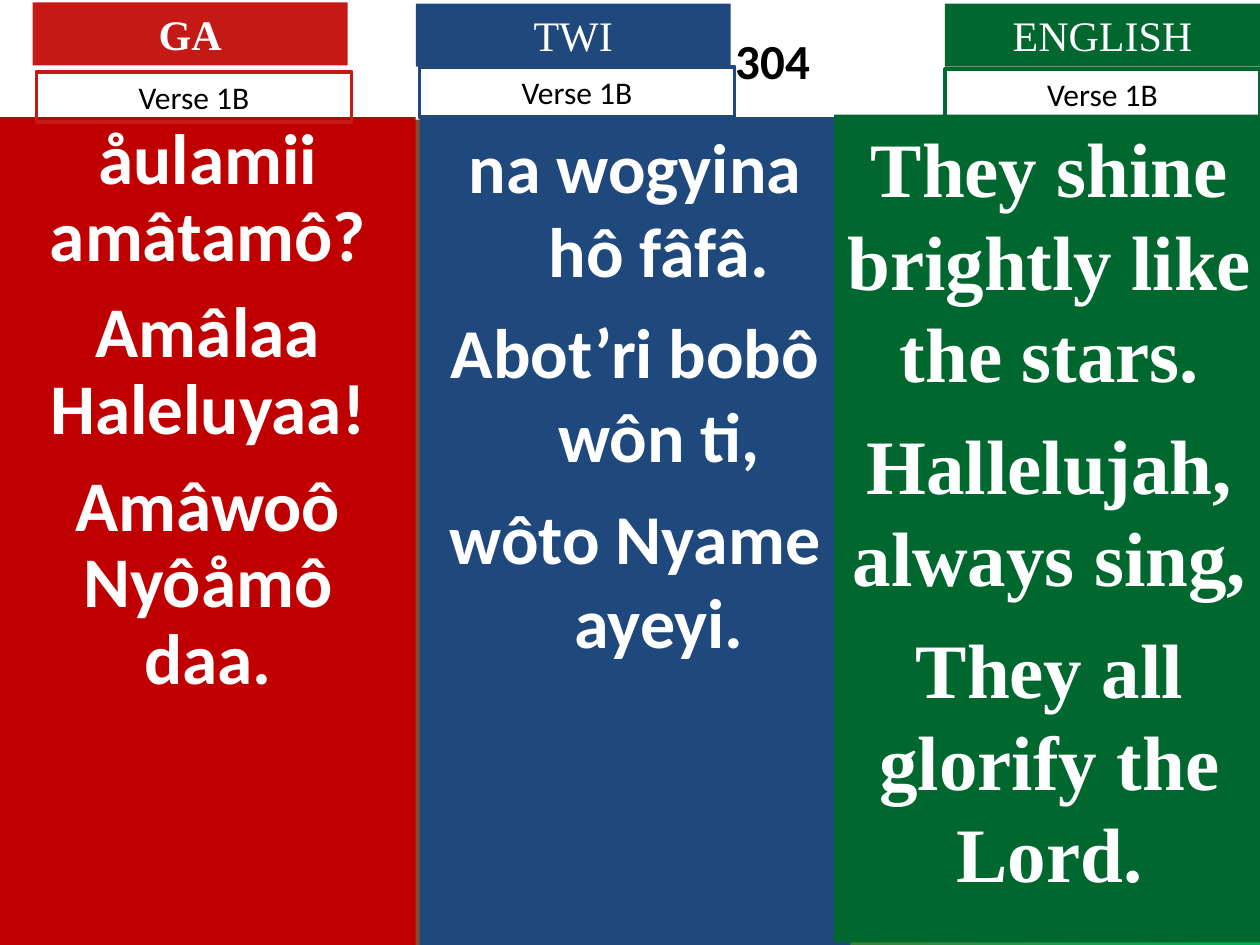
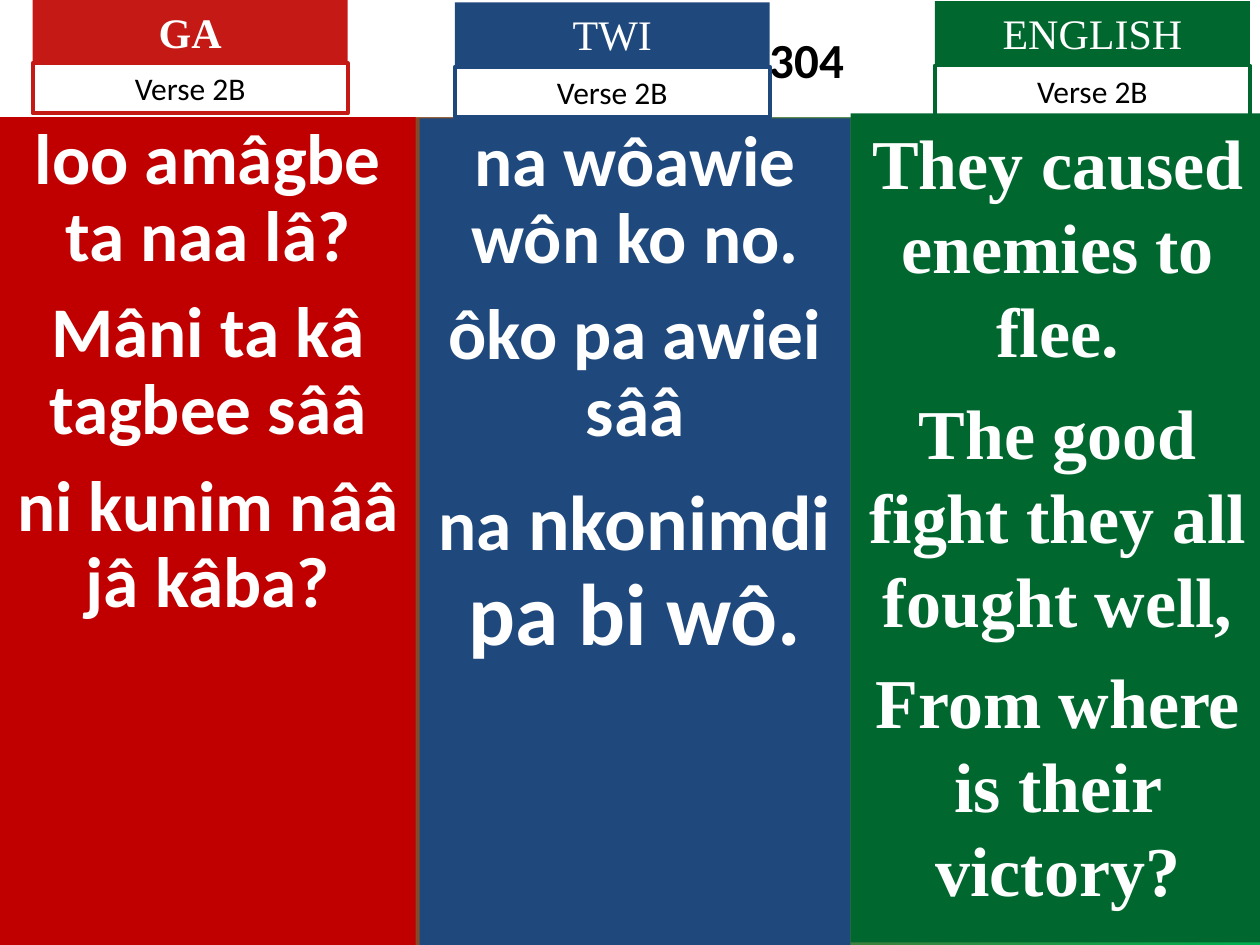
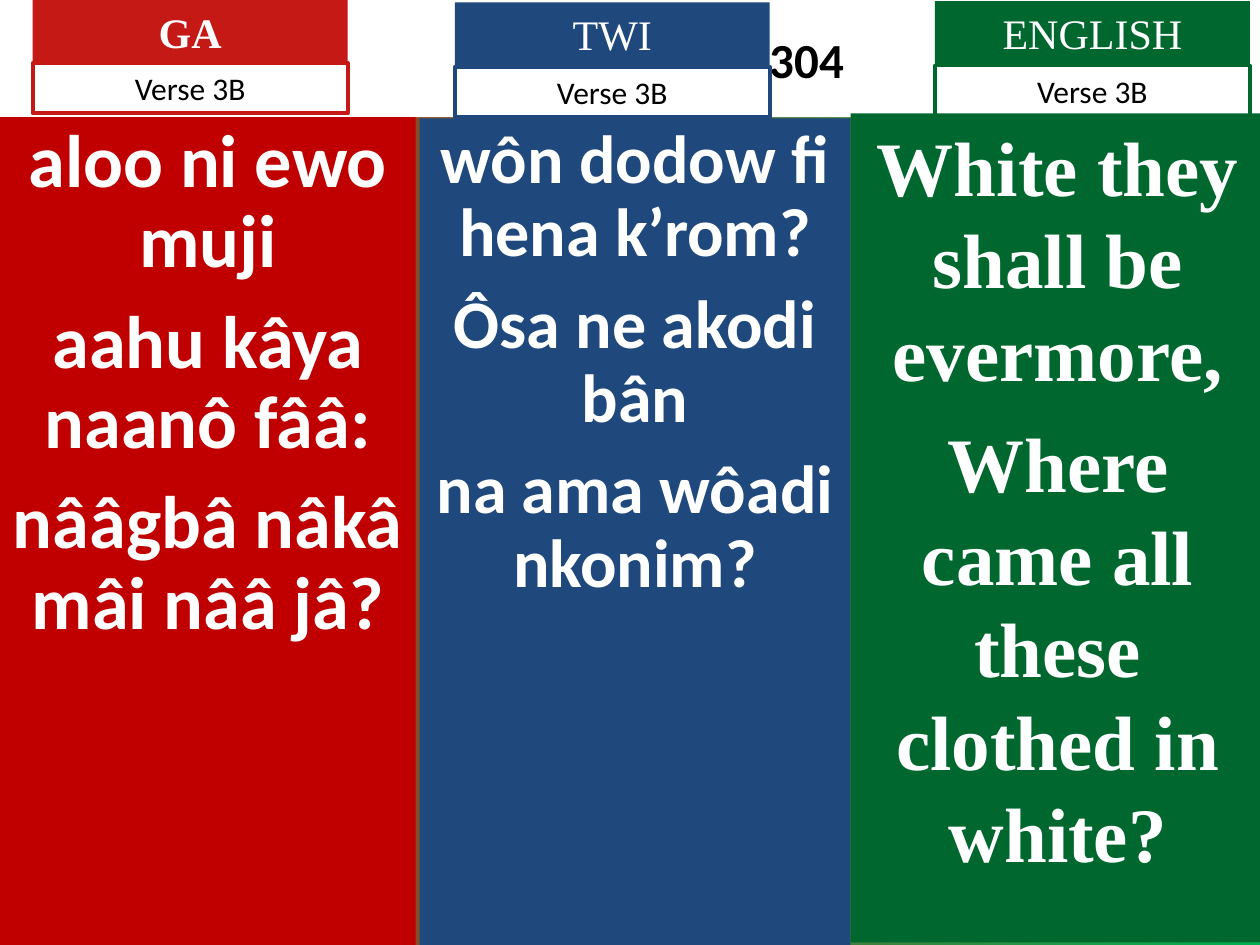
from dataclasses import dataclass

from pptx import Presentation
from pptx import util as u
from pptx.dml.color import RGBColor
from pptx.enum import shapes, text

# Grid: 100 columns by 75 rows on every slide
COLS, ROWS = 100, 75
CELL = u.Inches(0.1)

# Colours and fonts
WHITE = RGBColor(0xFF, 0xFF, 0xFF)
BLACK = RGBColor(0x00, 0x00, 0x00)
RED = RGBColor(0xC5, 0x19, 0x15)
DARK_RED = RGBColor(0xC0, 0x00, 0x00)
BLUE = RGBColor(0x1F, 0x49, 0x7D)
GREEN = RGBColor(0x00, 0x68, 0x2F)
BRIGHT_GREEN = RGBColor(0x00, 0xB0, 0x50)
SANS, SERIF = "Calibri", "Times New Roman"

HYMN_NUMBER = "304"
TAB_SIZE = (25, 5)
VERSE_SIZE = (25, 4)


@dataclass(frozen=True)
class Box:
    col: float
    row: float
    cols: float
    rows: float


@dataclass(frozen=True)
class Language:
    name: str
    accent: RGBColor
    panel: RGBColor
    font: str
    bold_tab: bool = False


@dataclass(frozen=True)
class Column:
    panel: Box
    tab: tuple[float, float]
    verse: tuple[float, float]


@dataclass(frozen=True)
class Layout:
    band_rows: float
    number_offset: float
    columns: tuple[Column, ...]


@dataclass(frozen=True)
class Lyrics:
    lines: tuple  # each line is a string or a tuple of (string, size) runs
    size: float
    spacing: float = 1.0
    hanging: float = 0


@dataclass(frozen=True)
class Verse:
    label: str
    layout: Layout
    lyrics: tuple[Lyrics, ...]


LANGUAGES = (
    Language("GA", RED, DARK_RED, SANS, bold_tab=True),
    Language("TWI", BLUE, BLUE, SANS),
    Language("ENGLISH", GREEN, GREEN, SERIF),
)

# Places of the three columns
GA_PANEL = Box(0, 9.3, 33, 65.7)
FIRST = Layout(9.5, 22.7, (
    Column(GA_PANEL, (2.6, 0.2), (2.9, 5.7)),
    Column(Box(33.3, 9.3, 34.2, 65.7), (33, 0.3), (33.3, 5.3)),
    Column(Box(66.2, 9.1, 34.2, 65.7), (75, 0.3), (75, 5.5)),
))
LATER = Layout(9.3, 28.1, (
    Column(GA_PANEL, (2.6, 0), (2.6, 5)),
    Column(Box(33.3, 9.4, 34.2, 65.6), (36.1, 0.2), (36.1, 5.3)),
    Column(Box(67.5, 9, 32.9, 65.8), (74.2, 0.1), (74.2, 5.2)),
))

VERSES = (
    Verse("Verse 1B", FIRST, (
        Lyrics(("åulamii amâtamô?", "Amâlaa Haleluyaa!",
                "Amâwoô Nyôåmô daa."), 40.7, 0.9),
        Lyrics(("na wogyina hô fâfâ.", "Abot’ri bobô wôn ti,",
                "wôto Nyame ayeyi."), 40, hanging=3.8),
        Lyrics(("They shine brightly like the stars.",
                "Hallelujah, always sing,",
                "They all glorify the Lord."), 44),
    )),
    Verse("Verse 2B", LATER, (
        Lyrics(("loo amâgbe ta naa lâ?", "Mâni ta kâ tagbee sââ",
                "ni kunim nââ jâ kâba?"), 40.7, 0.9),
        Lyrics(("na wôawie wôn ko no.", "ôko pa awiei sââ",
                (("na ", 40.7), ("nkonimdi", 44.4), (" pa bi wô.", 50))),
               40.7, 0.9),
        Lyrics(("They caused enemies to flee.",
                "The good fight they all fought well,",
                "From where is their victory?"), 40),
    )),
    Verse("Verse 3B", LATER, (
        Lyrics(("aloo ni ewo muji", "aahu kâya naanô fââ:",
                "nââgbâ nâkâ mâi nââ jâ?"), 42.5, 0.9),
        Lyrics(("wôn dodow fi hena k’rom?", "Ôsa ne akodi bân",
                "na ama wôadi nkonim?"), 38.9, 0.9),
        Lyrics(("White they shall be evermore,",
                "Where came all these clothed in white?"), 44),
    )),
)


def grid(cells: float) -> int:
    return round(cells * CELL)


def add_box(s, box: Box, *, fill: RGBColor | None = None,
            line: RGBColor | None = None):
    """Draw a rectangle on the grid."""
    sp = s.shapes.add_shape(shapes.MSO_SHAPE.RECTANGLE, grid(box.col),
                            grid(box.row), grid(box.cols), grid(box.rows))
    sp.shadow.inherit = False
    if fill is None:
        sp.fill.background()
    else:
        sp.fill.solid()
        sp.fill.fore_color.rgb = fill
    if line is None:
        sp.line.fill.background()
    else:
        sp.line.color.rgb = line
        sp.line.width = u.Pt(2.25)
    return sp


def write(sp, lines: tuple, *, size: float, font: str, color: RGBColor = WHITE,
          bold: bool = False, spacing: float = 1.0, hanging: float = 0,
          anchor=text.MSO_ANCHOR.TOP) -> None:
    """Fill a shape with centred paragraphs, spaced in proportion to size."""
    tf = sp.text_frame
    tf.word_wrap = True
    tf.vertical_anchor = anchor
    gap_share = 0.25 if spacing == 1 else 0.27
    for i, line in enumerate(lines):
        runs = ((line, size),) if isinstance(line, str) else line
        p = tf.paragraphs[0] if i == 0 else tf.add_paragraph()
        p.alignment = text.PP_ALIGN.CENTER
        p.line_spacing = spacing
        if i:
            p.space_before = u.Pt(gap_share * max(pt for _, pt in runs))
        if hanging:
            pPr = p._p.get_or_add_pPr()
            pPr.set("marL", str(grid(hanging)))
            pPr.set("indent", str(-grid(hanging)))
        for words, pt in runs:
            r = p.add_run()
            r.text = words
            r.font.size = u.Pt(pt)
            r.font.name = font
            r.font.bold = bold
            r.font.color.rgb = color


def paint_background(s) -> None:
    fill = s.background.fill
    fill.gradient()
    fill.gradient_angle = 0
    for stop, color in zip(fill.gradient_stops, (RED, BRIGHT_GREEN)):
        stop.color.rgb = color


def add_number_band(s, layout: Layout) -> None:
    band = add_box(s, Box(0, 0, COLS, layout.band_rows), fill=WHITE)
    band.text_frame.margin_left = grid(layout.number_offset)
    band.text_frame.margin_right = 0
    write(band, (HYMN_NUMBER,), size=28, font=SANS, color=BLACK, bold=True,
          anchor=text.MSO_ANCHOR.MIDDLE)


def add_column(s, language: Language, column: Column, lyrics: Lyrics,
               label: str) -> None:
    panel = add_box(s, column.panel, fill=language.panel)
    write(panel, lyrics.lines, size=lyrics.size, font=language.font, bold=True,
          spacing=lyrics.spacing, hanging=lyrics.hanging)
    tab = add_box(s, Box(*column.tab, *TAB_SIZE), fill=language.accent)
    write(tab, (language.name,), size=24, font=SERIF, bold=language.bold_tab)
    verse = add_box(s, Box(*column.verse, *VERSE_SIZE), line=language.accent)
    write(verse, (label,), size=18, font=SANS, color=BLACK)


def main() -> None:
    prs = Presentation()
    prs.slide_width, prs.slide_height = grid(COLS), grid(ROWS)
    for verse in VERSES:
        s = prs.slides.add_slide(prs.slide_layouts[6])
        paint_background(s)
        add_number_band(s, verse.layout)
        for language, column, lyrics in zip(LANGUAGES, verse.layout.columns,
                                            verse.lyrics):
            add_column(s, language, column, lyrics, verse.label)
    prs.save("out.pptx")


if __name__ == "__main__":
    main()
